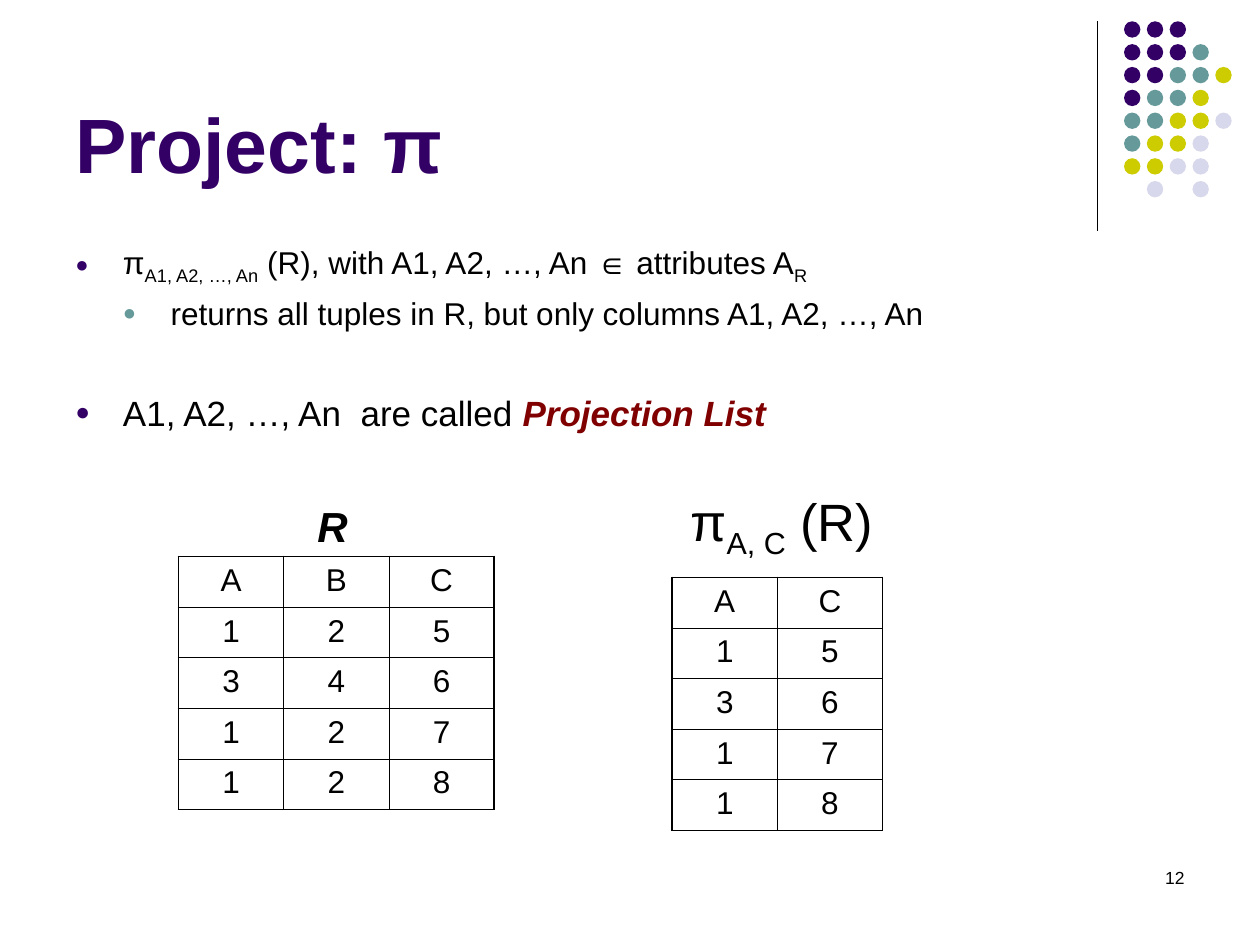
from dataclasses import dataclass

from lxml import etree
from pptx import Presentation
from pptx import util as u
from pptx.dml.color import RGBColor
from pptx.enum import shapes, text
from pptx.oxml.ns import qn

PURPLE = RGBColor(0x33, 0x00, 0x66)
TEAL = RGBColor(0x66, 0x99, 0x99)
OLIVE = RGBColor(0xCC, 0xCC, 0x00)
LILAC = RGBColor(0xD8, 0xD8, 0xEC)
MAROON = RGBColor(0x80, 0x00, 0x00)
BLACK = RGBColor(0x00, 0x00, 0x00)

FONT = "Arial"
DOT_COLORS = {"P": PURPLE, "T": TEAL, "O": OLIVE, "L": LILAC}
DOT_ROWS = ["PPP", "PPPT", "PPTTO", "PTTO", "TTOOL", "TOOL", "OOLL", ".L.L"]
DOT_SIZE, DOT_PITCH = 0.33, 0.46
COL_WIDTH, ROW_HEIGHT = 2.12, 1.02
INNER_LINE, OUTER_LINE = u.Pt(0.45), u.Pt(1.08)


@dataclass
class Run:
    text: str
    size: float
    color: RGBColor = BLACK
    bold: bool = False
    italic: bool = False
    sub: bool = False


@dataclass
class Para:
    runs: list[Run]
    bullet: RGBColor | None = None
    level: int = 0
    before: float = 0
    align: text.PP_ALIGN = text.PP_ALIGN.LEFT


@dataclass
class Box:
    left: float
    top: float
    width: float
    height: float
    paras: list[Para]
    anchor: text.MSO_ANCHOR = text.MSO_ANCHOR.TOP
    wrap: bool = True


@dataclass
class Relation:
    left: float
    top: float
    rows: list[str]


TITLE = Box(1.27, 0.33, 20.96, 3.61,
            [Para([Run("Project: π", 44, PURPLE, bold=True)])],
            anchor=text.MSO_ANCHOR.BOTTOM)
BODY = Box(1.27, 4.78, 20.75, 4.55, [
    Para([Run("π", 18), Run("A1, A2, …, An", 18, sub=True),
          Run(" (R), with A1, A2, …, An ∈ attributes A", 18),
          Run("R", 18, sub=True)], PURPLE),
    Para([Run("returns all tuples in R, but only columns A1, A2, …, An", 18)],
         TEAL, level=1, before=4.5),
    Para([Run("A1, A2, …, An  are called ", 20),
          Run("Projection List", 20, MAROON, bold=True, italic=True)],
         PURPLE, before=34),
])
R_LABEL = Box(6.15, 9.96, 1.12, 1.27,
              [Para([Run("R", 24, bold=True, italic=True)])], wrap=False)
PI_LABEL = Box(13.67, 9.73, 4.19, 1.7,
               [Para([Run("π", 30), Run("A, C", 30, sub=True), Run(" (R)", 30)])],
               wrap=False)
PAGE_NUMBER = Box(18.21, 17.35, 5.92, 1.27,
                  [Para([Run("12", 10)], align=text.PP_ALIGN.RIGHT)])
RELATIONS = [
    Relation(3.6, 11.22, ["ABC", "125", "346", "127", "128"]),
    Relation(13.55, 11.64, ["AC", "15", "36", "17", "18"]),
]


def add_bullet(p, color: RGBColor, level: int) -> None:
    pPr = p._p.get_or_add_pPr()
    indent = u.Cm(0.96)
    pPr.set("marL", str(indent * (level + 1)))
    pPr.set("indent", str(-indent))
    clr = etree.SubElement(pPr, qn("a:buClr"))
    etree.SubElement(clr, qn("a:srgbClr"), val=str(color))
    etree.SubElement(pPr, qn("a:buSzPct"), val="70000")
    etree.SubElement(pPr, qn("a:buFont"), typeface=FONT)
    etree.SubElement(pPr, qn("a:buChar"), char="●")


def fill_para(p, para: Para) -> None:
    p.alignment = para.align
    p.level = para.level
    if para.before:
        p.space_before = u.Pt(para.before)
    if para.bullet is not None:
        add_bullet(p, para.bullet, para.level)
    for run in para.runs:
        r = p.add_run()
        r.text = run.text
        r.font.name = FONT
        r.font.size = u.Pt(run.size)
        r.font.color.rgb = run.color
        r.font.bold = run.bold
        r.font.italic = run.italic
        if run.sub:
            r._r.get_or_add_rPr().set("baseline", "-25000")


def add_box(s, box: Box) -> None:
    sp = s.shapes.add_textbox(u.Cm(box.left), u.Cm(box.top),
                              u.Cm(box.width), u.Cm(box.height))
    tf = sp.text_frame
    tf.word_wrap = box.wrap
    tf.vertical_anchor = box.anchor
    for i, para in enumerate(box.paras):
        fill_para(tf.add_paragraph() if i else tf.paragraphs[0], para)


def set_borders(cell, outer: dict[str, bool]) -> None:
    tcPr = cell._tc.get_or_add_tcPr()
    for i, (side, is_outer) in enumerate(outer.items()):
        ln = etree.Element(qn(f"a:ln{side}"),
                           w=str(OUTER_LINE if is_outer else INNER_LINE))
        fill = etree.SubElement(ln, qn("a:solidFill"))
        etree.SubElement(fill, qn("a:srgbClr"), val=str(BLACK))
        tcPr.insert(i, ln)


def add_relation(s, rel: Relation) -> None:
    n_rows, n_cols = len(rel.rows), len(rel.rows[0])
    tbl = s.shapes.add_table(n_rows, n_cols, u.Cm(rel.left), u.Cm(rel.top),
                             u.Cm(COL_WIDTH * n_cols),
                             u.Cm(ROW_HEIGHT * n_rows)).table
    tbl.first_row = tbl.horz_banding = False
    for col in tbl.columns:
        col.width = u.Cm(COL_WIDTH)
    for i, values in enumerate(rel.rows):
        tbl.rows[i].height = u.Cm(ROW_HEIGHT)
        for j, value in enumerate(values):
            cell = tbl.cell(i, j)
            cell.fill.background()
            set_borders(cell, {"L": j == 0, "R": j == n_cols - 1,
                               "T": i == 0, "B": i == n_rows - 1})
            fill_para(cell.text_frame.paragraphs[0],
                      Para([Run(value, 18)], align=text.PP_ALIGN.CENTER))


def add_dots(s) -> None:
    for i, row in enumerate(DOT_ROWS):
        for j, key in enumerate(row):
            if key not in DOT_COLORS:
                continue
            sp = s.shapes.add_shape(
                shapes.MSO_SHAPE.OVAL,
                u.Cm(22.66 + j * DOT_PITCH), u.Cm(0.43 + i * DOT_PITCH),
                u.Cm(DOT_SIZE), u.Cm(DOT_SIZE))
            sp.shadow.inherit = False
            sp.fill.solid()
            sp.fill.fore_color.rgb = DOT_COLORS[key]
            sp.line.fill.background()


def add_rule(s) -> None:
    cx = s.shapes.add_connector(shapes.MSO_CONNECTOR.STRAIGHT,
                                u.Cm(22.12), u.Cm(0.43), u.Cm(22.12), u.Cm(4.65))
    cx.line.color.rgb = BLACK
    cx.line.width = u.Pt(0.75)
    etree.SubElement(cx._element.spPr, qn("a:effectLst"))


def main() -> None:
    prs = Presentation()
    prs.slide_width, prs.slide_height = u.Cm(25.4), u.Cm(19.05)
    s = prs.slides.add_slide(prs.slide_layouts[6])
    add_rule(s)
    add_dots(s)
    for box in (TITLE, BODY, R_LABEL, PI_LABEL, PAGE_NUMBER):
        add_box(s, box)
    for rel in RELATIONS:
        add_relation(s, rel)
    prs.save("out.pptx")


if __name__ == "__main__":
    main()
